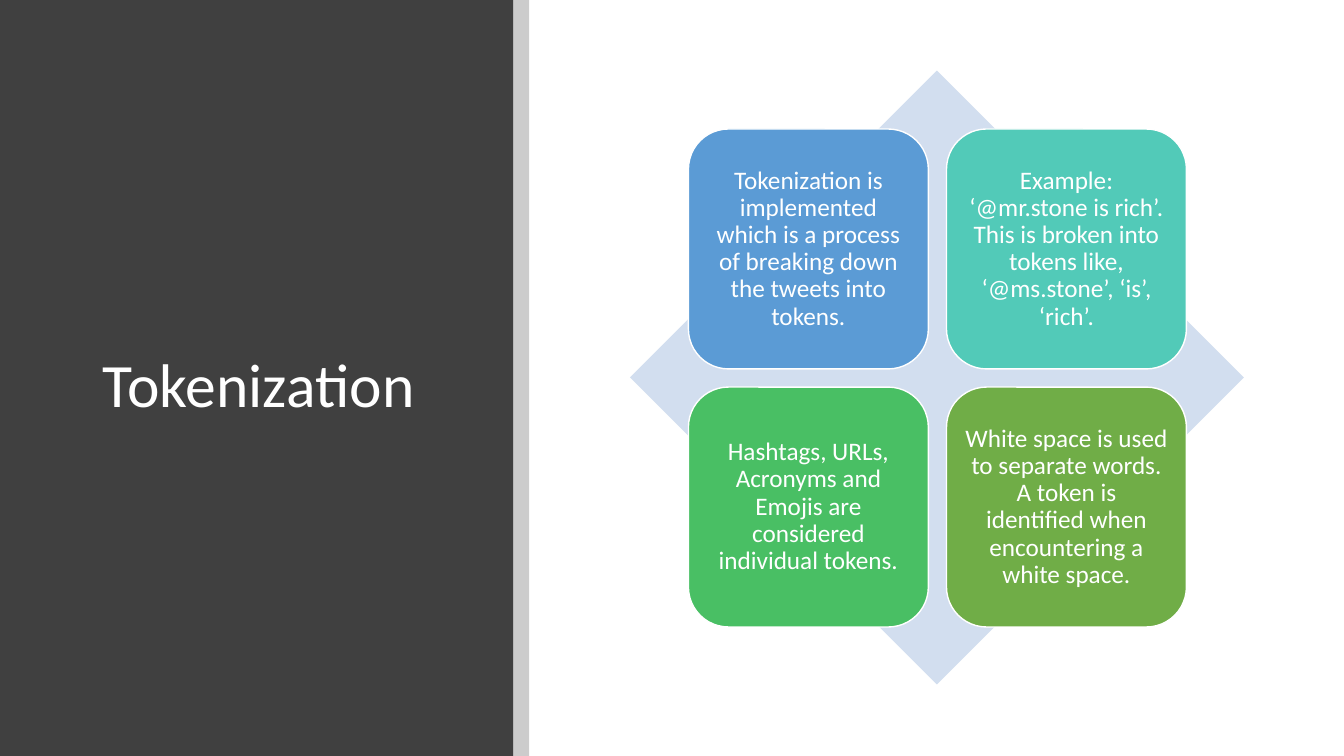
from dataclasses import dataclass

from lxml.etree import SubElement
from pptx import Presentation
from pptx.dml.color import RGBColor
from pptx.enum.shapes import MSO_SHAPE as SHAPE
from pptx.enum.text import MSO_ANCHOR as ANCHOR, MSO_AUTO_SIZE as AUTO_SIZE, PP_ALIGN as ALIGN
from pptx.oxml.ns import qn
from pptx.util import Emu, Pt

EMU_PER_PX = 9144  # 100 px to the inch


@dataclass(frozen=True)
class Theme:
    font: str = "Calibri"
    title_size: int = 44
    card_size: int = 18
    line_spacing: float = 0.9
    text: str = "FFFFFF"
    outline: str = "FFFFFF"
    panel: str = "404040"
    stripe: str = "000000"
    diamond: str = "D2DEEF"
    blue: str = "5B9BD5"
    teal: str = "52CAB8"
    green: str = "49BF64"
    olive: str = "70AD47"


def px(n):
    return Emu(n * EMU_PER_PX)


class SlideBuilder:
    def __init__(self, prs, theme):
        self.theme = theme
        self.slide = prs.slides.add_slide(prs.slide_layouts[5])

    def shape(self, kind, x, y, w, h, fill, alpha=None):
        """Add a filled preset shape without outline; alpha is in percent."""
        sp = self.slide.shapes.add_shape(kind, px(x), px(y), px(w), px(h))
        sp.shadow.inherit = False
        sp.fill.solid()
        sp.fill.fore_color.rgb = RGBColor.from_string(fill)
        sp.line.fill.background()
        if alpha is not None:
            color = sp._element.spPr.find(qn("a:solidFill")).find(qn("a:srgbClr"))
            SubElement(color, qn("a:alpha")).set("val", str(alpha * 1000))
        return sp

    def set_text(self, sp, text, size, align):
        tf = sp.text_frame
        tf.word_wrap = True
        tf.auto_size = AUTO_SIZE.NONE
        tf.vertical_anchor = ANCHOR.MIDDLE
        p = tf.paragraphs[0]
        p.alignment = align
        p.line_spacing = self.theme.line_spacing
        r = p.add_run()
        r.text = text
        r.font.name = self.theme.font
        r.font.size = Pt(size)
        r.font.color.rgb = RGBColor.from_string(self.theme.text)

    def title(self, text, x, y, w, h):
        """Fill the title placeholder and bring it above the shapes so far."""
        sp = self.slide.shapes.title
        sp.left, sp.top, sp.width, sp.height = px(x), px(y), px(w), px(h)
        self.set_text(sp, text, self.theme.title_size, ALIGN.LEFT)
        self.slide.shapes._spTree.append(sp._element)

    def card(self, text, x, y, side, fill):
        sp = self.shape(SHAPE.ROUNDED_RECTANGLE, x, y, side, side, fill)
        sp.line.color.rgb = RGBColor.from_string(self.theme.outline)
        sp.line.width = Pt(1)
        tf = sp.text_frame
        tf.margin_left = tf.margin_top = tf.margin_right = tf.margin_bottom = px(7)
        self.set_text(sp, text, self.theme.card_size, ALIGN.CENTER)


def main():
    theme = Theme()
    prs = Presentation()
    prs.slide_width, prs.slide_height = Emu(12192000), px(750)
    s = SlideBuilder(prs, theme)

    s.shape(SHAPE.RECTANGLE, 0, 0, 509, 750, theme.panel)
    s.title("Tokenization", 92, 89, 365, 591)
    s.shape(SHAPE.RECTANGLE, 509, 0, 16, 750, theme.stripe, alpha=20)
    s.shape(SHAPE.DIAMOND, 625, 70, 609, 609, theme.diamond)

    cards = [
        ("Tokenization is implemented which is a process of breaking down "
         "the tweets into tokens.", theme.blue),
        ("Example: ‘@mr.stone is rich’. This is broken into tokens like, "
         "‘@ms.stone’, ‘is’, ‘rich’.", theme.teal),
        ("Hashtags, URLs, Acronyms and Emojis are considered individual tokens.",
         theme.green),
        ("White space is used to separate words. A token is identified when "
         "encountering a white space.", theme.olive),
    ]
    side, gap = 238, 18
    for i, (text, fill) in enumerate(cards):
        row, col = divmod(i, 2)
        s.card(text, 683 + col * (side + gap), 128 + row * (side + gap), side, fill)

    prs.save("out.pptx")


if __name__ == "__main__":
    main()
